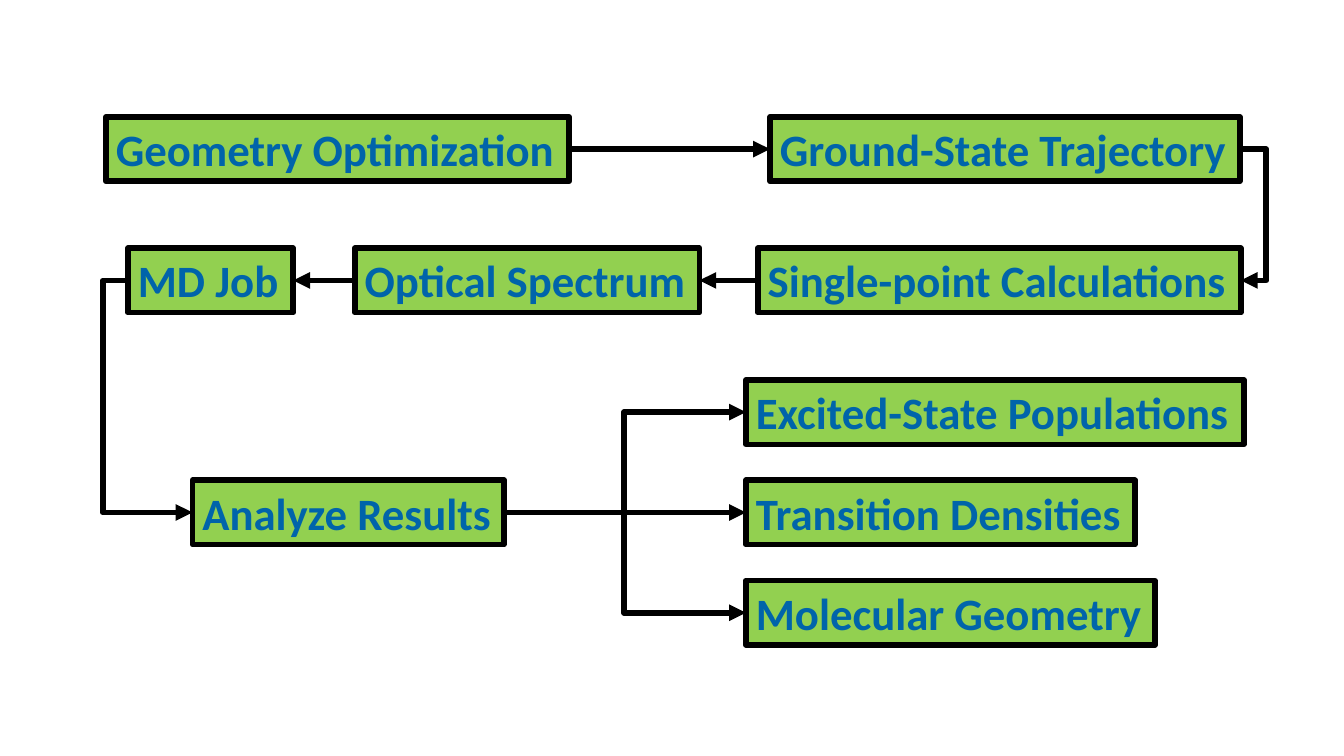
import dataclasses

import pptx
import pptx.dml.color
import pptx.enum.shapes
import pptx.enum.text
import pptx.oxml.ns
import pptx.util
from lxml import etree

LEFT_SITE, RIGHT_SITE = 1, 3


@dataclasses.dataclass(frozen=True)
class Theme:
    """Colours, type and line sizes of the flowchart."""
    step_fill: str = "92D050"
    step_text: str = "0064AA"
    line: str = "000000"
    font: str = "Calibri"
    text_size: float = 32
    line_width: float = 4
    step_height: float = 46


@dataclasses.dataclass(frozen=True)
class Box:
    """A region of the slide, in points."""
    left: float
    top: float
    width: float
    height: float


THEME = Theme()


def rgb(code):
    """Turn a hex code into a colour."""
    return pptx.dml.color.RGBColor.from_string(code)


def style_line(line):
    """Give an outline or connector the common stroke."""
    line.color.rgb = rgb(THEME.line)
    line.width = pptx.util.Pt(THEME.line_width)


def add_step(slide, label, left, top, width):
    """Add one labelled step of the workflow."""
    step = slide.shapes.add_textbox(
        *map(pptx.util.Pt, (left, top, width, THEME.step_height)))
    step.fill.solid()
    step.fill.fore_color.rgb = rgb(THEME.step_fill)
    style_line(step.line)
    frame = step.text_frame
    frame.text = label
    frame.word_wrap = False
    frame.auto_size = pptx.enum.text.MSO_AUTO_SIZE.SHAPE_TO_FIT_TEXT
    font = frame.paragraphs[0].runs[0].font
    font.name, font.bold = THEME.font, True
    font.size = pptx.util.Pt(THEME.text_size)
    font.color.rgb = rgb(THEME.step_text)
    return step


def side_point(step, site):
    """Return the middle of a step's left or right side."""
    x = step.left + (step.width if site == RIGHT_SITE else 0)
    return x, step.top + step.height // 2


def add_arrow(slide, source, source_site, target, target_site, turn_x=None):
    """Join two steps, straight or with a bend at turn_x points."""
    start, end = side_point(source, source_site), side_point(target, target_site)
    kinds = pptx.enum.shapes.MSO_CONNECTOR
    kind = kinds.STRAIGHT if turn_x is None else kinds.ELBOW
    arrow = slide.shapes.add_connector(kind, *start, *end)
    if turn_x is None:
        arrow.begin_connect(source, source_site)
        arrow.end_connect(target, target_site)
    else:
        share = (pptx.util.Pt(turn_x) - start[0]) / (end[0] - start[0])
        geometry = arrow.element.spPr.find(pptx.oxml.ns.qn("a:prstGeom"))
        guides = geometry.find(pptx.oxml.ns.qn("a:avLst"))
        etree.SubElement(guides, pptx.oxml.ns.qn("a:gd"), name="adj1",
                         fmla=f"val {round(share * 100000)}")
    style_line(arrow.line)
    stroke = arrow.line._get_or_add_ln()
    etree.SubElement(stroke, pptx.oxml.ns.qn("a:tailEnd"), type="triangle")
    etree.SubElement(arrow.element.spPr, pptx.oxml.ns.qn("a:effectLst"))


def add_simulation(slide, box):
    """Place the two rows of simulation steps and return the last step."""
    right = box.left + box.width
    lower = box.top + box.height - THEME.step_height
    geometry = add_step(slide, "Geometry Optimization", box.left, box.top, 331)
    ground = add_step(slide, "Ground-State Trajectory", right - 336.3, box.top, 335.6)
    single = add_step(slide, "Single-point Calculations", right - 345, lower, 345)
    spectrum = add_step(slide, "Optical Spectrum", box.left + 177.8, lower, 246.2)
    dynamics = add_step(slide, "MD Job", box.left + 15.8, lower, 118.1)
    add_arrow(slide, geometry, RIGHT_SITE, ground, LEFT_SITE)
    add_arrow(slide, ground, RIGHT_SITE, single, RIGHT_SITE, right + 18)
    add_arrow(slide, single, LEFT_SITE, spectrum, RIGHT_SITE)
    add_arrow(slide, spectrum, LEFT_SITE, dynamics, RIGHT_SITE)
    return dynamics


def add_analysis(slide, box):
    """Place the analysis step with its three results and return that step."""
    outputs = (("Excited-State Populations", 355.7),
               ("Transition Densities", 277.9),
               ("Molecular Geometry", 292.3))
    travel = box.height - THEME.step_height
    analysis = add_step(slide, "Analyze Results", box.left, box.top + travel / 2, 222.5)
    for index, (label, width) in enumerate(outputs):
        top = box.top + index * travel / (len(outputs) - 1)
        output = add_step(slide, label, box.left + 395.3, top, width)
        turn_x = None if index == len(outputs) // 2 else box.left + 308.2
        add_arrow(slide, analysis, RIGHT_SITE, output, LEFT_SITE, turn_x)
    return analysis


def build():
    """Build and save the workflow slide."""
    deck = pptx.Presentation()
    deck.slide_width, deck.slide_height = pptx.util.Pt(960), pptx.util.Pt(540)
    slide = deck.slides.add_slide(deck.slide_layouts.get_by_name("Blank"))
    simulation = Box(75.6, 83.5, 810.7, 139.8)
    dynamics = add_simulation(slide, simulation)
    analysis = add_analysis(slide, Box(137.5, 271.4, 751, 189.3))
    add_arrow(slide, dynamics, LEFT_SITE, analysis, LEFT_SITE, simulation.left - 2.2)
    deck.save("out.pptx")


build()
